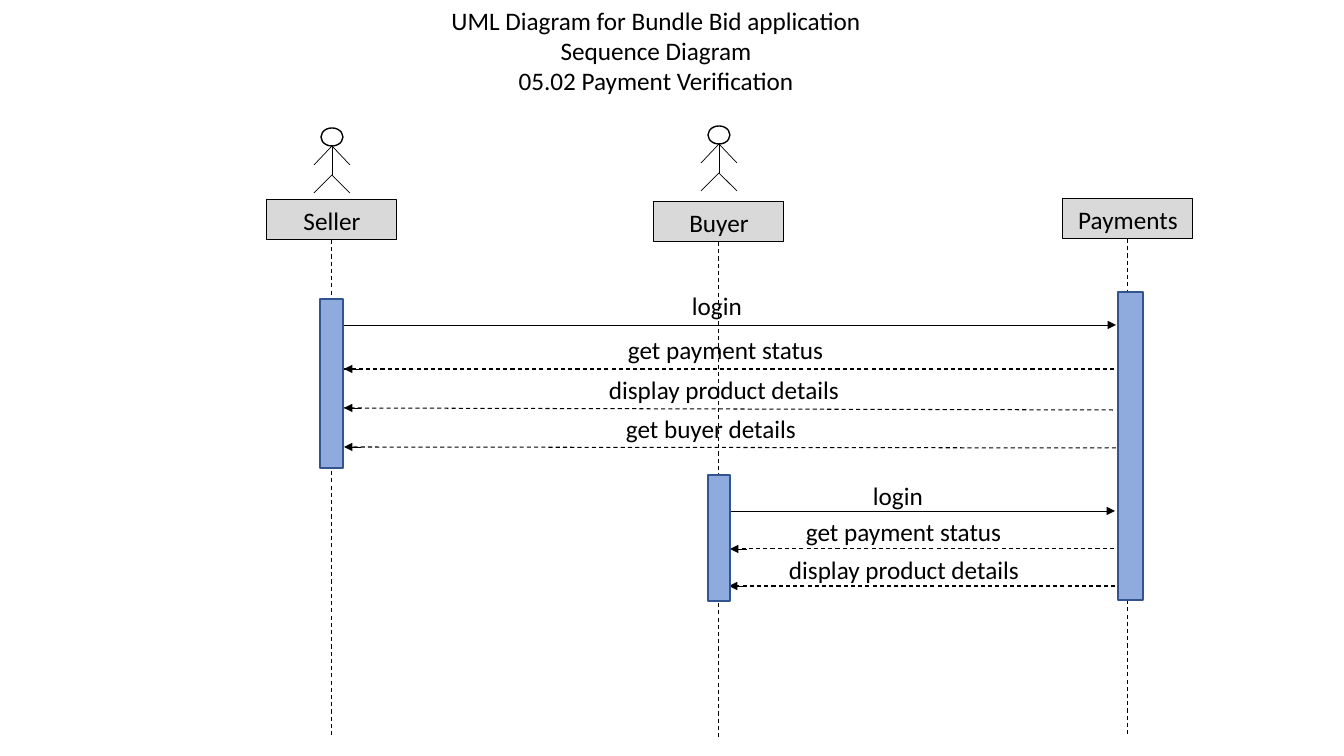
from pptx import Presentation
from pptx.dml.color import RGBColor
from pptx.enum.dml import MSO_LINE
from pptx.enum.shapes import MSO_CONNECTOR, MSO_SHAPE
from pptx.enum.text import MSO_ANCHOR, PP_ALIGN
from pptx.oxml.ns import qn
from pptx.util import Pt
from lxml import etree

LINE, DASH = MSO_CONNECTOR.STRAIGHT, MSO_LINE.DASH
RECT, OVAL = MSO_SHAPE.RECTANGLE, MSO_SHAPE.OVAL
LEFT, MID, TOP = PP_ALIGN.LEFT, PP_ALIGN.CENTER, MSO_ANCHOR.TOP
PX = 914400 / 100.8
THEME = {
    "font": "Calibri", "size": 18, "ink": "000000", "paper": "FFFFFF",
    "label": "D9D9D9", "bar": "8FAADC", "edge": "325491",
    "thin": 0.5, "rule": 0.75, "bold": 1,
}

deck = Presentation()
deck.slide_width, deck.slide_height = round(1344 * PX), round(756 * PX)
slide = deck.slides.add_slide(deck.slide_layouts[6])
shapes = slide.shapes


def emu(*vals):
    return [round(v * PX) for v in vals]


def write(shape, lines, align):
    frame = shape.text_frame
    form = {"word_wrap": True, "vertical_anchor": TOP, "text": "\n".join(lines)}
    for key, val in form.items():
        setattr(frame, key, val)
    for para in frame.paragraphs:
        para.alignment = align
        form = {"name": THEME["font"], "size": Pt(THEME["size"])}
        for key, val in form.items():
            setattr(para.font, key, val)
        para.font.color.rgb = RGBColor.from_string(THEME["ink"])


# Everything is listed first, from back to front
boxes, lines, texts = [], [], []

# Title: left, top, width, height, lines, alignment
texts.append((320, 0, 672, 102, ["UML Diagram for Bundle Bid application",
              "Sequence Diagram", "05.02 Payment Verification"], MID))

# Columns: name, centre, label top, line end, bar left, top, width, height
cols = [
    ("Seller", 332, 200, 736, 320, 299, 23, 169),
    ("Buyer", 719, 202, 740, 708, 475, 22, 126),
    ("Payments", 1128, 199, 735, 1118, 292, 25, 308),
]
for name, mid, top, end, left, start, wide, high in cols:
    lines.append((mid, top + 40, mid, end, "rule", DASH, False))
    boxes.append((RECT, mid - 65, top, 130, 40, "label", "ink", "rule", name))
    boxes.append((RECT, left, start, wide, high, "bar", "edge", "bold", ""))

# Stick figures: centre, top of head
for mid, top in [(332, 128), (719, 126)]:
    boxes.append((OVAL, mid - 11, top, 22, 18, "paper", "ink", "bold", ""))
    neck, hip = top + 18, top + 47
    lines.append((mid, neck, mid, hip, "thin", None, False))
    for side in (-1, 1):
        for joint, tip in [(neck, top + 37), (hip, top + 65)]:
            lines.append((mid, joint, mid + 18 * side, tip, "thin", None, False))

# Requests to Payments: start, end, height
for start, end, y in [(343, 1116, 325), (731, 1115, 511)]:
    lines.append((start, y, end, y, "thin", None, True))

# Replies: start, start height, end, end height; a short solid tip carries the head
replies = [
    (1114, 369, 344, 369), (1113, 410, 344, 408), (1116, 448, 344, 447),
    (1114, 549, 730, 549), (1115, 586, 729, 586),
]
for start, high, end, low in replies:
    lines.append((start, high, end, low, "rule", DASH, False))
    lines.append((end + 17, low, end, low, "thin", None, True))

# Message labels: left, top, wording
words = [
    (682, 285, "login"), (618, 329, "get payment status"),
    (599, 369, "display product details"), (616, 408, "get buyer details"),
    (863, 475, "login"), (796, 511, "get payment status"),
    (779, 549, "display product details"),
]
for left, top, word in words:
    texts.append((left, top, 281, 40, [word], LEFT))

# Draw lines
for x1, y1, x2, y2, width, dash, head in lines:
    link = shapes.add_connector(LINE, *emu(x1, y1, x2, y2))
    link.line.color.rgb = RGBColor.from_string(THEME["ink"])
    for key, val in {"width": Pt(THEME[width]), "dash_style": dash}.items():
        setattr(link.line, key, val)
    if head:
        pen = link.line._get_or_add_ln()
        etree.SubElement(pen, qn("a:tailEnd"), type="triangle")
    etree.SubElement(link._element.spPr, qn("a:effectLst"))

# Draw boxes
for kind, left, top, wide, high, fill, edge, width, name in boxes:
    box = shapes.add_shape(kind, *emu(left, top, wide, high))
    box.shadow.inherit = False
    box.fill.solid()
    box.fill.fore_color.rgb = RGBColor.from_string(THEME[fill])
    box.line.color.rgb = RGBColor.from_string(THEME[edge])
    box.line.width = Pt(THEME[width])
    if name:
        write(box, [name], MID)

# Draw text
for left, top, wide, high, text, align in texts:
    write(shapes.add_textbox(*emu(left, top, wide, high)), text, align)

deck.save("out.pptx")
